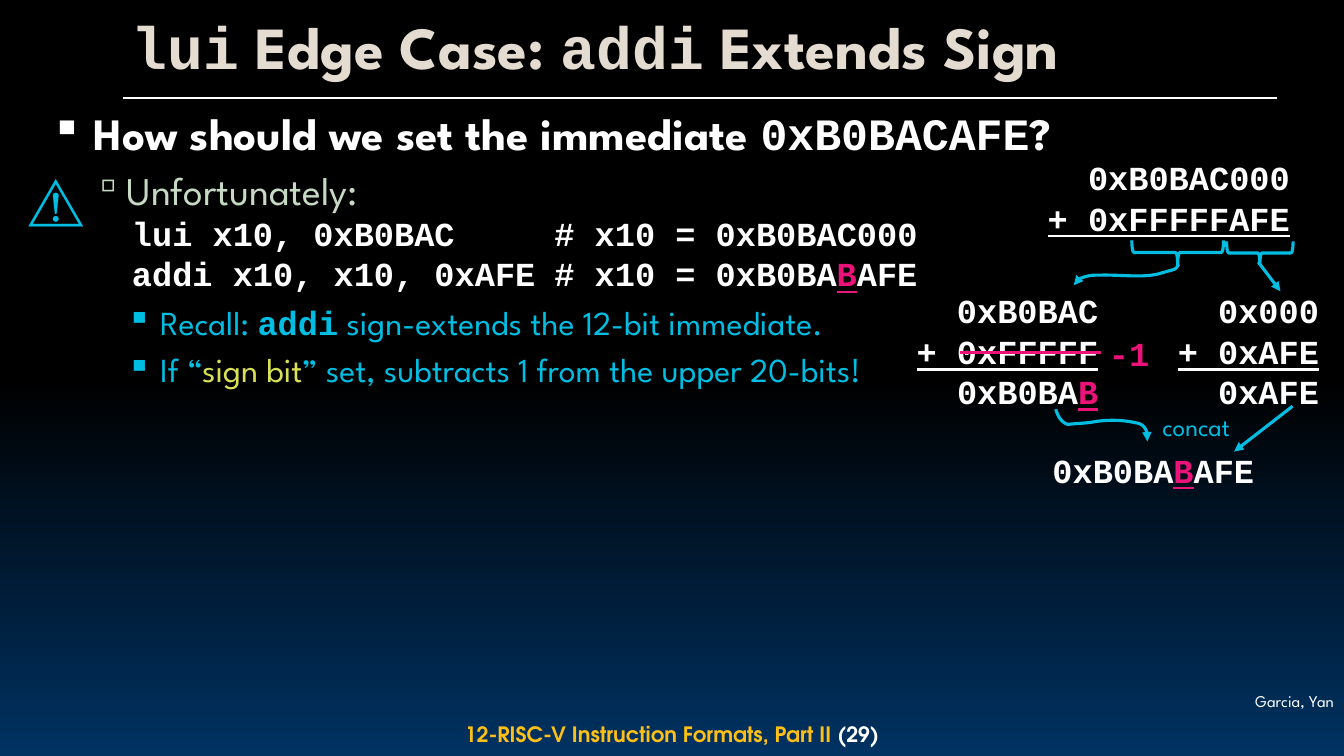
from pptx import Presentation
from pptx.dml.color import RGBColor
from pptx.enum.shapes import MSO_CONNECTOR as Connector, MSO_SHAPE as Preset
from pptx.enum.text import MSO_ANCHOR as Anchor, PP_ALIGN as Align
from pptx.oxml.ns import qn
from pptx.util import Inches, Pt
from lxml.etree import SubElement

BLACK = RGBColor(0x00, 0x00, 0x00)
NAVY = RGBColor(0x00, 0x32, 0x62)
WHITE = RGBColor(0xFF, 0xFF, 0xFF)
SAND = RGBColor(0xE5, 0xDC, 0xD1)
GOLD = RGBColor(0xFE, 0xC0, 0x16)
SAGE = RGBColor(0xC6, 0xDA, 0xC3)
CYAN = RGBColor(0x00, 0xBD, 0xE2)
LIME = RGBColor(0xD9, 0xE0, 0x56)
PINK = RGBColor(0xEB, 0x13, 0x79)

CODE = "Courier New"
SANS = "League Spartan"
FOOTER = "TeX Gyre Adventor"
CARRY = ("B", PINK, True)

LEFT_CURVE = [
    (11.69, 2.62), (11.68, 2.64), (11.67, 2.66), (11.65, 2.67),
    (11.63, 2.68), (11.58, 2.69), (11.55, 2.7),
    (11.35, 2.77), (11.16, 2.72), (10.86, 2.73),
    (10.8, 2.73), (10.74, 2.75), (10.67, 2.78),
    (10.65, 2.82), (10.65, 2.8), (10.65, 2.83),
]
CONCAT_CURVE = [
    (10.47, 4.06), (10.49, 4.12), (10.52, 4.19), (10.59, 4.21),
    (10.69, 4.2), (10.78, 4.2), (10.88, 4.18),
    (11.03, 4.16), (11.17, 4.17), (11.29, 4.2),
    (11.33, 4.21), (11.36, 4.24), (11.38, 4.3),
    (11.38, 4.33), (11.38, 4.35), (11.38, 4.38),
]


def add_box(slide, left, top, width, height, wrap=True, anchor=Anchor.TOP):
    box = slide.shapes.add_textbox(Inches(left), Inches(top), Inches(width), Inches(height))
    frame = box.text_frame
    frame.word_wrap = wrap
    frame.vertical_anchor = anchor
    return frame


def next_paragraph(frame):
    first = frame.paragraphs[0]
    return frame.add_paragraph() if first.runs else first


def add_run(paragraph, text, size, font, color, bold=False, underline=None):
    run = paragraph.add_run()
    run.text = text
    run.font.size = Pt(size)
    run.font.name = font
    run.font.color.rgb = color
    run.font.bold = bold
    run.font.underline = underline


def add_label(slide, position, text, size, color, align=Align.LEFT, wrap=False):
    paragraph = add_box(slide, *position, wrap=wrap).paragraphs[0]
    paragraph.alignment = align
    add_run(paragraph, text, size, SANS, color)


def add_code(slide, position, lines, align=Align.LEFT):
    frame = add_box(slide, *position, wrap=False)
    for line in lines:
        paragraph = next_paragraph(frame)
        paragraph.alignment = align
        for text, color, underline in line:
            add_run(paragraph, text, 24, CODE, color, True, underline)


def plain(text, underline=None):
    return (text, WHITE, underline)


def add_bullet(frame, symbol, percent, margin, indent, space):
    paragraph = next_paragraph(frame)
    paragraph.space_before = Pt(space)
    properties = paragraph._p.get_or_add_pPr()
    properties.set("marL", str(Inches(margin)))
    properties.set("indent", str(Inches(indent)))
    SubElement(properties, qn("a:buSzPct")).set("val", str(percent * 1000))
    SubElement(properties, qn("a:buChar")).set("char", symbol)
    return paragraph


def style_line(shape, color, width, arrow=False):
    shape.line.color.rgb = color
    shape.line.width = Pt(width)
    if arrow:
        SubElement(shape.line._get_or_add_ln(), qn("a:tailEnd")).set("type", "triangle")


def add_line(slide, start, end, color, width=2.25, arrow=False):
    ends = [Inches(value) for value in start + end]
    line = slide.shapes.add_connector(Connector.STRAIGHT, *ends)
    style_line(line, color, width, arrow)
    SubElement(line._element.spPr, qn("a:effectLst"))


def bezier(points, steps=8):
    for first in range(0, len(points) - 1, 3):
        a, b, c, d = points[first:first + 4]
        for step in range(1, steps + 1):
            t = step / steps
            u = 1 - t
            yield tuple(
                Inches(u**3 * a[axis] + 3 * u * u * t * b[axis] + 3 * u * t * t * c[axis] + t**3 * d[axis])
                for axis in (0, 1)
            )


def add_curved_arrow(slide, points):
    x, y = points[0]
    builder = slide.shapes.build_freeform(Inches(x), Inches(y))
    builder.add_line_segments(list(bezier(points)), close=False)
    arrow = builder.convert_to_shape()
    arrow.shadow.inherit = False
    arrow.fill.background()
    style_line(arrow, CYAN, 2.25, True)


def add_brace(slide, left, top, width, height):
    brace = slide.shapes.add_shape(
        Preset.RIGHT_BRACE, Inches(left), Inches(top), Inches(width), Inches(height))
    brace.rotation = 90
    brace.shadow.inherit = False
    brace.fill.background()
    style_line(brace, CYAN, 2.25)


def set_background(slide):
    fill = slide.background.fill
    fill.gradient()
    fill.gradient_angle = 270
    for stop, position, color in zip(fill.gradient_stops, (0.5, 1), (BLACK, NAVY)):
        stop.position = position
        stop.color.rgb = color


def add_frame(slide):
    add_label(slide, (11.89, 6.81, 1.44, 0.3), "Garcia, Yan", 11.7, WHITE, Align.RIGHT, True)
    footer = add_box(slide, 2.45, 7.12, 8.43, 0.32, anchor=Anchor.MIDDLE).paragraphs[0]
    footer.alignment = Align.CENTER
    add_run(footer, "12-RISC-V Instruction Formats, Part II ", 15.1, FOOTER, GOLD, True)
    add_run(footer, "(29)", 15.1, FOOTER, WHITE, True)
    add_line(slide, (1.22, 0.97), (12.67, 0.97), WHITE, 1.5)
    title = add_box(slide, 1.21, 0.08, 11.49, 0.84, anchor=Anchor.MIDDLE).paragraphs[0]
    title.line_spacing = 0.9
    for text, font in (("lui", CODE), (" Edge Case: ", SANS), ("addi", CODE), (" Extends Sign", SANS)):
        add_run(title, text, 42.7, font, SAND, True)


def add_body(slide):
    frame = add_box(slide, 0.32, 1, 12.39, 5.01)
    question = add_bullet(frame, "▪", 95, 0.51, -0.42, 0)
    for text, font in (("How should we set the immediate ", SANS), ("0xB0BACAFE", CODE), ("?", SANS)):
        add_run(question, text, 32, font, WHITE, True)
    answer = add_bullet(frame, "▫", 90, 0.84, -0.34, 5)
    add_run(answer, "Unfortunately:", 28, SANS, SAGE)
    recall = add_bullet(frame, "▪", 100, 1.17, -0.33, 63)
    add_run(recall, "Recall: ", 24, SANS, CYAN)
    add_run(recall, "addi", 24, CODE, CYAN, True)
    add_run(recall, " sign-extends the 12-bit immediate.", 24, SANS, CYAN)
    sign = add_bullet(frame, "▪", 100, 1.17, -0.33, 5)
    for text, color in (("If “", CYAN), ("sign bit", LIME), ("” set, subtracts 1 from the upper 20-bits!", CYAN)):
        add_run(sign, text, 24, SANS, color)
    add_label(slide, (0.17, 1.59, 0.76, 0.77), "⚠️", 40, CYAN, Align.RIGHT)


def add_sums(slide):
    result = [plain("0xB0BA"), CARRY, plain("AFE")]
    add_code(slide, (1.21, 2.06, 4.31, 0.91), [[plain("lui x10, 0xB0BAC")], [plain("addi x10, x10, 0xAFE")]])
    add_code(slide, (5.4, 2.06, 3.83, 0.91), [[plain("# x10 = 0xB0BAC000")], [plain("# x10 = "), *result]])
    add_code(slide, (10.27, 1.51, 2.62, 0.91),
             [[plain("0xB0BAC000")], [plain("+ 0xFFFFFAFE", True)]], Align.RIGHT)
    add_code(slide, (8.97, 2.83, 2.02, 1.31),
             [[plain("0xB0BAC")], [plain("+ 0xFFFFF", True)], [plain("0xB0BA"), CARRY]], Align.RIGHT)
    add_code(slide, (11.57, 2.83, 1.61, 1.31),
             [[plain("0x000")], [plain("+ 0xAFE", True)], [plain("0xAFE")]], Align.RIGHT)
    add_code(slide, (10.9, 3.25, 0.61, 0.5), [[("-1", PINK, None)]])
    add_code(slide, (10.34, 4.41, 2.22, 0.5), [result])
    add_label(slide, (11.43, 4.03, 0.9, 0.4), "concat", 18, CYAN)


def add_marks(slide):
    add_line(slide, (9.52, 3.5), (10.92, 3.5), PINK)
    add_brace(slide, 11.56, 2.05, 0.24, 0.91)
    add_brace(slide, 12.38, 2.18, 0.23, 0.66)
    add_curved_arrow(slide, LEFT_CURVE)
    add_curved_arrow(slide, CONCAT_CURVE)
    add_line(slide, (12.48, 2.6), (12.7, 2.89), CYAN, arrow=True)
    add_line(slide, (12.82, 4.03), (12.24, 4.48), CYAN, arrow=True)


def main():
    presentation = Presentation()
    presentation.slide_width = Inches(13.33)
    presentation.slide_height = Inches(7.5)
    slide = presentation.slides.add_slide(presentation.slide_layouts[6])
    set_background(slide)
    add_frame(slide)
    add_body(slide)
    add_sums(slide)
    add_marks(slide)
    presentation.save("out.pptx")


if __name__ == "__main__":
    main()
